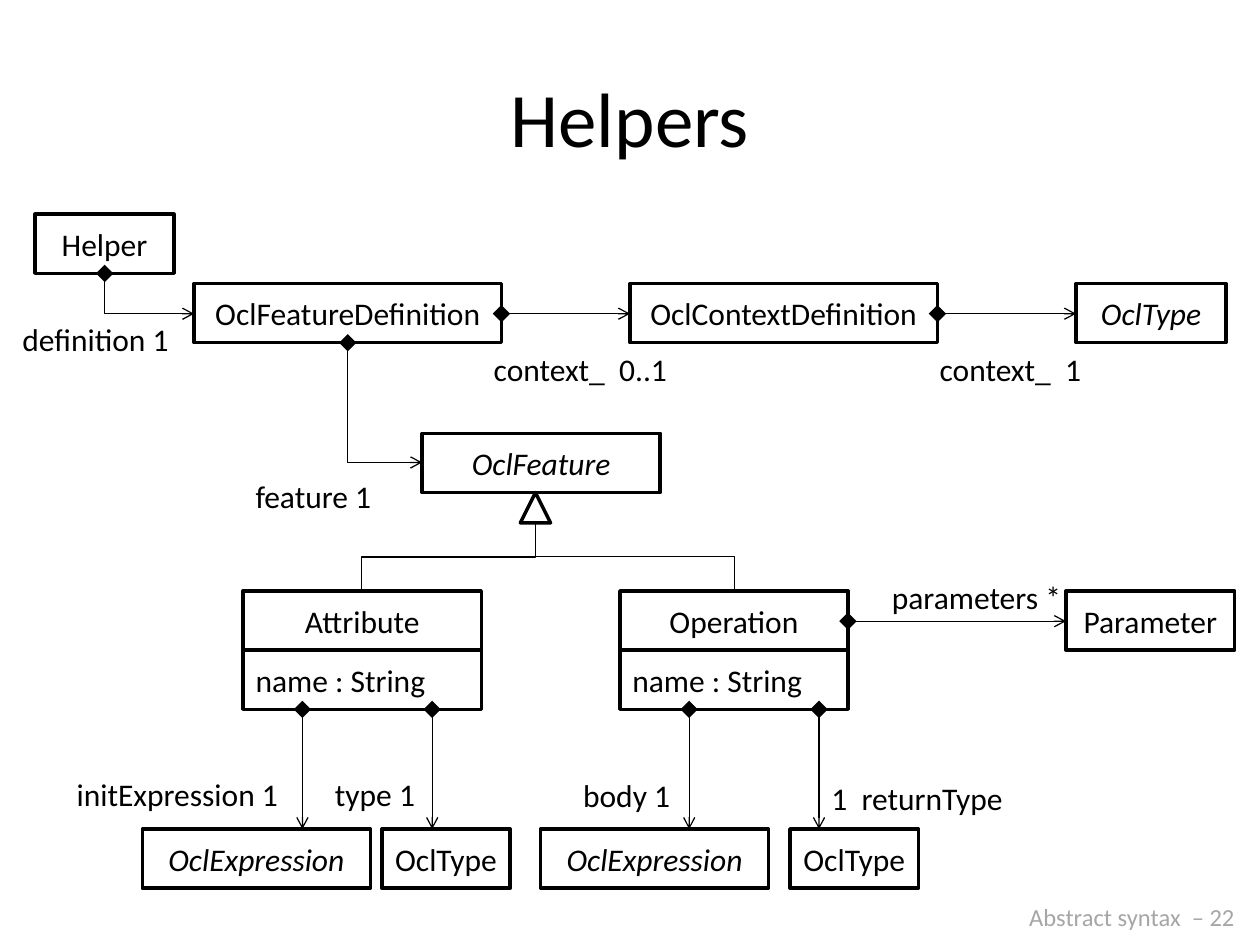
from pptx import Presentation
from pptx.dml.color import RGBColor
from pptx.enum.shapes import MSO_CONNECTOR as Link, MSO_SHAPE as Shape
from pptx.enum.text import MSO_ANCHOR as Anchor, PP_ALIGN as Align
from pptx.oxml.ns import qn
from pptx.util import Inches, Pt
from lxml.etree import SubElement

COLORS = {"ink": "000000", "paper": "FFFFFF", "footer": "A6A6A6"}
FONT = "Calibri"
ROW = 0.47  # height of one class compartment


def color(name):
    return RGBColor.from_string(COLORS[name])


def write(item, text, size=18, ink="ink", align=Align.LEFT, italic=False):
    item.text_frame.text = text
    para = item.text_frame.paragraphs[0]
    para.alignment = align
    font = para.runs[0].font
    font.name, font.size, font.italic = FONT, Pt(size), italic
    font.color.rgb = color(ink)


def add_label(page, text, left, top, width, height=0.4, wrap=False, **style):
    label = page.shapes.add_textbox(*map(Inches, (left, top, width, height)))
    label.text_frame.word_wrap = wrap
    write(label, text, **style)
    return label


def add_outline(page, kind, left, top, width, height):
    shape = page.shapes.add_shape(kind, *map(Inches, (left, top, width, height)))
    shape.shadow.inherit = False
    shape.fill.solid()
    shape.fill.fore_color.rgb = color("paper")
    shape.line.color.rgb = color("ink")
    shape.line.width = Pt(2)
    return shape


def add_class(page, name, left, top, width, italic=False, attribute=None):
    """Class box with an optional attribute compartment below the name."""
    rows = [(name, Align.CENTER, italic)]
    if attribute:
        rows.append((attribute, Align.LEFT, False))
    for index, (text, align, slanted) in enumerate(rows):
        box = add_outline(page, Shape.RECTANGLE, left, top + index * ROW, width, ROW)
        box.text_frame.vertical_anchor = Anchor.MIDDLE
        box.text_frame.word_wrap = align == Align.LEFT
        write(box, text, align=align, italic=slanted)


def style_link(link, ends):
    link.line.color.rgb = color("ink")
    link.line.width = Pt(0.75)
    properties = link.element.spPr
    if ends:
        line = properties.find(qn("a:ln"))
        SubElement(line, qn("a:headEnd"), type="diamond", w="lg", len="lg")
        SubElement(line, qn("a:tailEnd"), type="arrow")
    SubElement(properties, qn("a:effectLst"))


def add_straight(page, start, end):
    link = page.shapes.add_connector(Link.STRAIGHT, *map(Inches, (*start, *end)))
    style_link(link, ends=True)


def add_elbow(page, start, end, preset, ends):
    """Elbow leaving vertically: a frame turned by 270 degrees about its centre."""
    (x1, y1), (x2, y2) = start, end
    mid_x, mid_y = (x1 + x2) / 2, (y1 + y2) / 2
    half_w, half_h = abs(y2 - y1) / 2, abs(x2 - x1) / 2
    corners = (mid_x - half_w, mid_y - half_h, mid_x + half_w, mid_y + half_h)
    link = page.shapes.add_connector(Link.ELBOW, *map(Inches, corners))
    properties = link.element.spPr
    properties.find(qn("a:prstGeom")).set("prst", preset)
    frame = properties.find(qn("a:xfrm"))
    frame.set("rot", str(270 * 60000))
    if y2 > y1:
        frame.set("flipH", "1")
    if x2 < x1:
        frame.set("flipV", "1")
    style_link(link, ends)


def add_definitions(page, left, top):
    """Helper, its definition and the context chain."""
    row = top + 0.55
    middle = top + 0.79
    add_class(page, "Helper", left, top, 1.1)
    add_class(page, "OclFeatureDefinition", left + 1.26, row, 2.44)
    add_class(page, "OclContextDefinition", left + 4.72, row, 2.44)
    add_class(page, "OclType", left + 8.26, row, 1.19, italic=True)
    add_elbow(page, (left + 0.55, top + ROW), (left + 1.26, middle),
              "bentConnector2", True)
    for start, end in ((3.7, 4.72), (7.16, 8.26)):
        add_straight(page, (left + start, middle), (left + end, middle))
    add_label(page, "definition 1", left - 0.2, middle, 1.38)
    add_label(page, "context_  0..1", left + 3.54, top + 1.03, 1.59)
    add_label(page, "context_  1", left + 7.08, top + 1.03, 1.34)


def add_feature(page, left, top):
    """Abstract feature with its generalization tree."""
    add_class(page, "OclFeature", left, top, 1.89, italic=True)
    add_elbow(page, (left - 0.59, top - 0.72), (left, top + 0.23),
              "bentConnector2", True)
    add_label(page, "feature 1", left - 1.42, top + 0.3, 1.13)
    add_outline(page, Shape.ISOSCELES_TRIANGLE, left + 0.78, top + ROW, 0.24, 0.24)
    for child in (-0.48, 2.48):
        add_elbow(page, (left + child, top + 1.25), (left + 0.9, top + 0.71),
                  "bentConnector3", False)


def add_kind(page, name, left, top, width, body_left, body_link, type_left, type_link):
    """Concrete feature with its expression and type below."""
    add_class(page, name, left, top, width, attribute="name : String")
    below = top + 1.89
    add_class(page, "OclExpression", left + body_left, below, 1.81, italic=True)
    add_class(page, "OclType", left + type_left, below, 1.02)
    for x in (body_link, type_link):
        add_straight(page, (left + x, top + 2 * ROW), (left + x, below))


deck = Presentation()
deck.slide_width, deck.slide_height = Inches(10), Inches(7.5)
page = deck.slides.add_slide(deck.slide_layouts[6])

# Title
title = add_label(page, "Helpers", 0.5, 0.3, 9, 1.25, wrap=True, size=44,
                  align=Align.CENTER)
title.text_frame.vertical_anchor = Anchor.MIDDLE

# Class diagram
add_definitions(page, 0.28, 1.7)
add_feature(page, 3.35, 3.44)
add_kind(page, "Attribute", 1.93, 4.69, 1.89, -0.8, 0.47, 1.1, 1.5)
add_kind(page, "Operation", 4.92, 4.69, 1.81, -0.63, 0.55, 1.35, 1.58)
add_class(page, "Parameter", 8.46, 4.69, 1.34)
add_straight(page, (6.73, 4.93), (8.46, 4.93))

# Role names
for role, left, top, width, wrap in (
    ("parameters *", 6.98, 4.54, 1.56, False),
    ("initExpression 1", 0.51, 6.1, 1.82, False),
    ("type 1", 2.56, 6.1, 0.85, True),
    ("body 1", 4.53, 6.11, 0.9, False),
    ("1  returnType", 6.5, 6.13, 1.65, True),
):
    add_label(page, role, left, top, width, wrap=wrap)

# Footer
add_label(page, "Abstract syntax  – 22", 8.07, 7.11, 1.85, 0.34, size=14, ink="footer")

deck.save("out.pptx")
